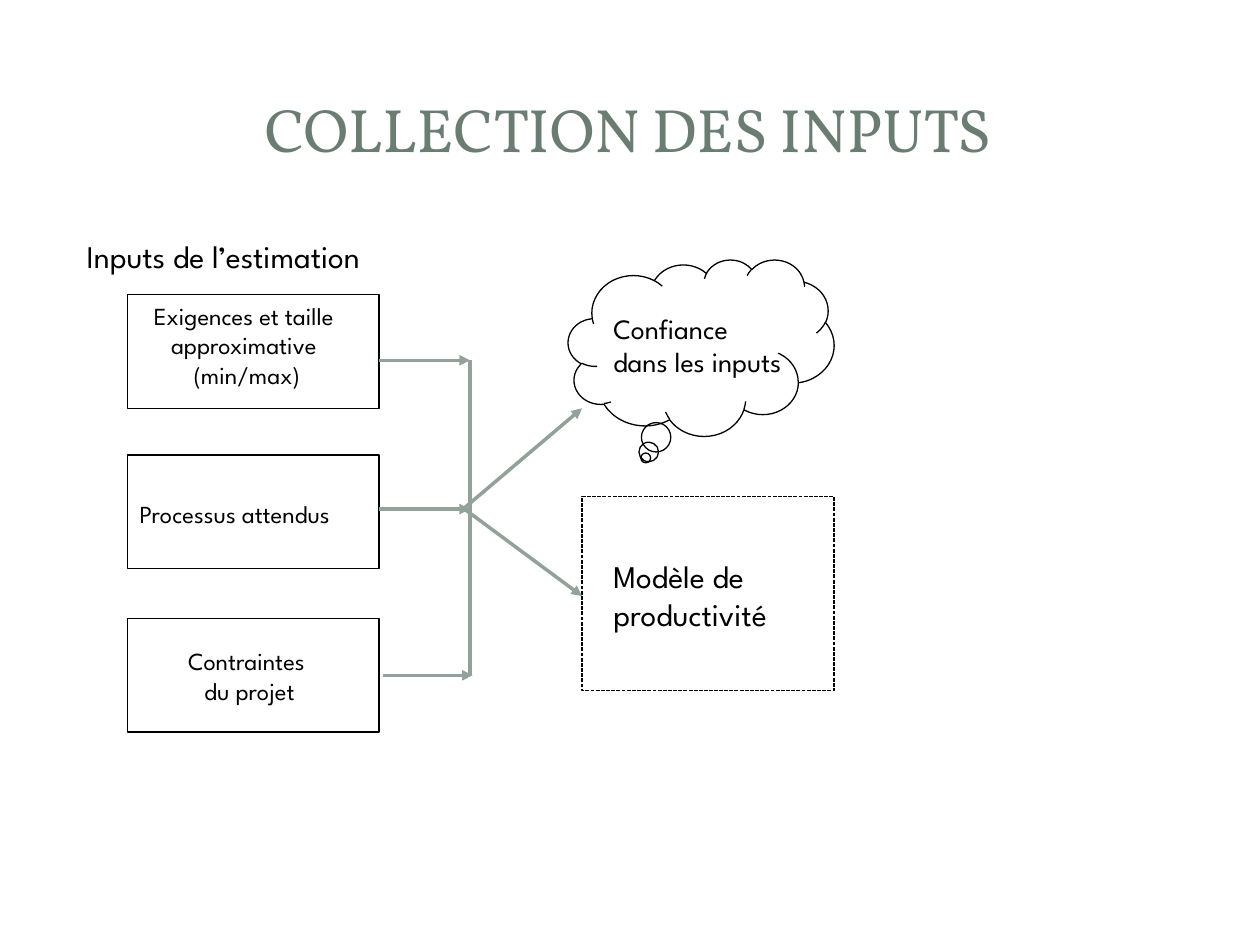
from pptx import Presentation
from pptx.dml.color import RGBColor
from pptx.enum.dml import MSO_LINE_DASH_STYLE as Dash
from pptx.enum.shapes import MSO_CONNECTOR as Conn, MSO_SHAPE as Kind
from pptx.enum.text import MSO_ANCHOR as Anchor, PP_ALIGN as Align
from pptx.oxml.ns import qn
from pptx.util import Pt
from lxml.etree import SubElement

BLACK = RGBColor(0x00, 0x00, 0x00)
GREEN = RGBColor(0x6B, 0x7D, 0x72)
SAGE = RGBColor(0x93, 0xA2, 0x99)
BODY, HEAD = "League Spartan", "Vollkorn"

# Content: lines of text, place (left, top, width, height), format
TITLE = ["COLLECTION DES INPUTS"]
LABELS = [
    (["Inputs de l’estimation"], (42.5, 131.8, 201.6, 29), {"size": 18}),
    (["Exigences et taille ", "approximative ", "(min/max)"],
     (72.7, 168.5, 136.8, 58.3), {"align": Align.CENTER}),
    (["Processus attendus"], (72.7, 281.5, 144.7, 24.5), {}),
    (["Contraintes ", "du projet"], (95.8, 365.8, 93.6, 41),
     {"align": Align.CENTER}),
    (["Confiance", "dans les inputs"], (343.4, 174.2, 127.4, 46), {"size": 16}),
    (["Modèle de", "productivité"], (343.4, 314.6, 121, 51), {"size": 18}),
]

# Input boxes, outputs and the bus that joins them
LEFT, WIDE, HIGH = 72.7, 144, 64.8
TOPS = [168.5, 260, 353.5]
CLOUD = (324.7, 148.3, 151.9, 100.8)
MODEL = (332.6, 283.7, 144, 110.9)
EDGE, BUS = LEFT + WIDE, 268.6
FORK = (265, 290.6)
FEEDS = [(EDGE, BUS, 205.9), (EDGE, BUS, 290.9), (EDGE + 2, BUS + 1.5, 385.9)]
ENDS = [(MODEL[0], 340.6), (MODEL[0], 233.3)]

deck = Presentation()
deck.slide_width, deck.slide_height = Pt(720), Pt(540)
slide = deck.slides.add_slide(deck.slide_layouts[6])
shapes = slide.shapes


def put_text(lines, place, size=14, font=BODY, color=BLACK,
             align=Align.LEFT, anchor=Anchor.TOP):
    frame = shapes.add_textbox(*map(Pt, place)).text_frame
    frame.word_wrap = True
    frame.vertical_anchor = anchor
    for i, line in enumerate(lines):
        para = frame.paragraphs[0] if i == 0 else frame.add_paragraph()
        para.alignment = align
        run = para.add_run()
        run.text = line
        run.font.size, run.font.name = Pt(size), font
        run.font.color.rgb = color


def put_shape(kind, place, dash=None):
    shape = shapes.add_shape(kind, *map(Pt, place))
    shape.shadow.inherit = False
    shape.fill.background()
    shape.line.color.rgb = BLACK
    shape.line.width = Pt(0.75)
    if dash:
        shape.line.dash_style = dash


def put_line(start, end, arrow=True):
    link = shapes.add_connector(Conn.STRAIGHT, *map(Pt, start + end))
    link.line.color.rgb = SAGE
    link.line.width = Pt(2)
    if arrow:
        SubElement(link.line._get_or_add_ln(), qn("a:tailEnd"), type="triangle")
    SubElement(link._element.spPr, qn("a:effectLst"))


# Title
put_text(TITLE, (33.8, 32.4, 650.2, 82), size=35, font=HEAD, color=GREEN,
         align=Align.CENTER, anchor=Anchor.MIDDLE)

# Boxes and cloud
for top in TOPS:
    put_shape(Kind.RECTANGLE, (LEFT, top, WIDE, HIGH))
put_shape(Kind.CLOUD_CALLOUT, CLOUD)
put_shape(Kind.RECTANGLE, MODEL, dash=Dash.SQUARE_DOT)

# Labels
for lines, place, style in LABELS:
    put_text(lines, place, **style)

# Arrows into the bus, the bus, arrows out of the fork
for x, to, y in FEEDS:
    put_line((x, y), (to, y))
put_line((BUS, FEEDS[0][2]), (BUS, FEEDS[-1][2]), arrow=False)
for end in ENDS:
    put_line(FORK, end)

deck.save("out.pptx")
